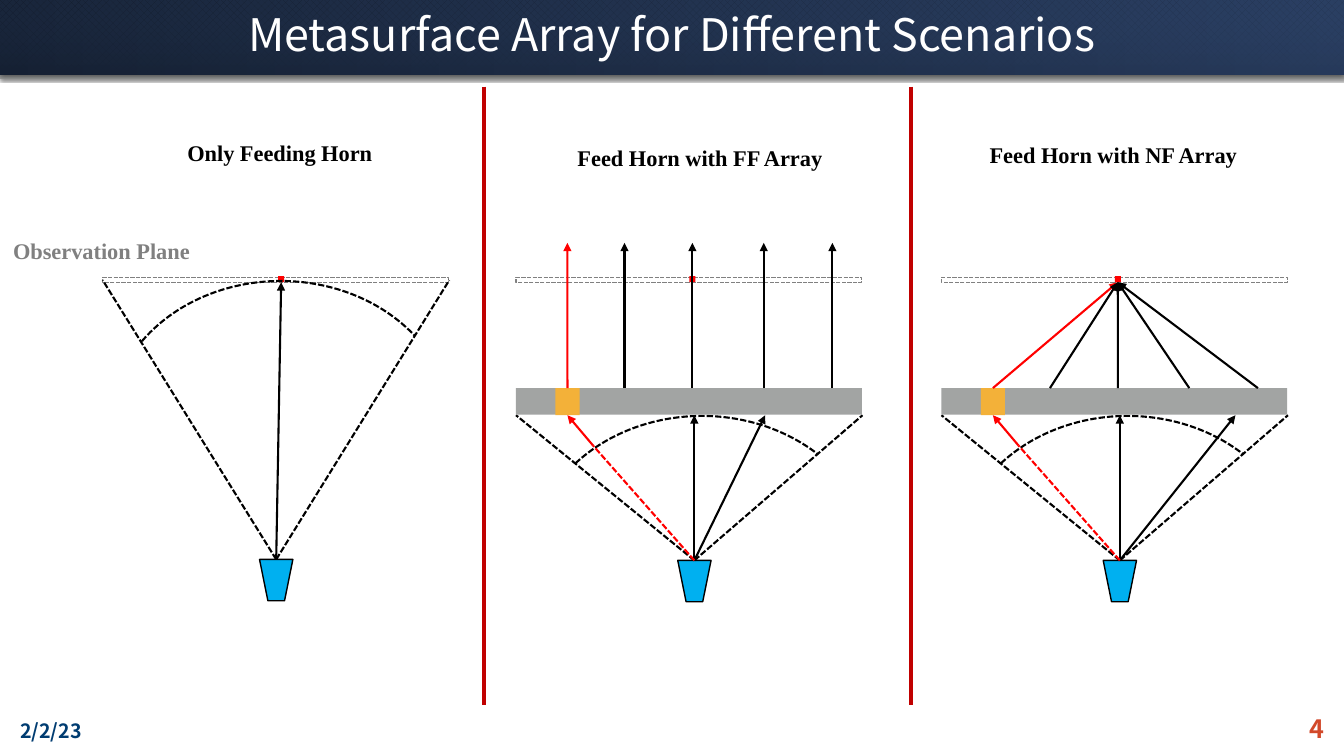
from pptx import Presentation
from pptx.dml.color import RGBColor
from pptx.enum.dml import MSO_LINE, MSO_PATTERN
from pptx.enum.shapes import MSO_CONNECTOR, MSO_SHAPE
from pptx.enum.text import MSO_ANCHOR, MSO_AUTO_SIZE, PP_ALIGN
from pptx.oxml.ns import qn
from pptx.util import Pt
from lxml import etree

RECT, ARC, HORN = MSO_SHAPE.RECTANGLE, MSO_SHAPE.ARC, MSO_SHAPE.TRAPEZOID
STRAIGHT, DASH = MSO_CONNECTOR.STRAIGHT, MSO_LINE.SQUARE_DOT
LEFT, CENTER, RIGHT = PP_ALIGN.LEFT, PP_ALIGN.CENTER, PP_ALIGN.RIGHT
MIDDLE, TOP, GROW = MSO_ANCHOR.MIDDLE, MSO_ANCHOR.TOP, MSO_AUTO_SIZE.SHAPE_TO_FIT_TEXT
SANS, SERIF = "Noto Sans CJK JP", "Times New Roman"

COLORS = {
    "black": "000000", "white": "FFFFFF", "gray": "808080", "array": "A2A4A3",
    "red": "FF0000", "wall": "C00000", "horn": "00B0F0", "patch": "F3B139",
    "date": "003C71", "page": "D2492A", "ink": "162032", "navy": "21314D",
    "deep": "1B283F", "blue": "3A5685", "night": "0F1723",
}
RGB = {name: RGBColor.from_string(code) for name, code in COLORS.items()}

deck = Presentation()
deck.slide_width, deck.slide_height = Pt(960), Pt(540)
slide = deck.slides.add_slide(deck.slide_layouts[6])
shapes = slide.shapes


def box(kind, x, y, w, h, fill=None, edge=None, width=1, dash=None):
    shape = shapes.add_shape(kind, Pt(x), Pt(y), Pt(w), Pt(h))
    shape.shadow.inherit = False
    if fill:
        shape.fill.solid()
        shape.fill.fore_color.rgb = RGB[fill]
    else:
        shape.fill.background()
    if edge:
        shape.line.color.rgb = RGB[edge]
        shape.line.width = Pt(width)
        shape.line.dash_style = dash
    else:
        shape.line.fill.background()
    return shape


def link(start, end, color="black", width=1.5, dash=None, arrow=False):
    line = shapes.add_connector(STRAIGHT, *[Pt(v) for v in (*start, *end)])
    line.line.color.rgb = RGB[color]
    line.line.width = Pt(width)
    line.line.dash_style = dash
    if arrow:
        etree.SubElement(line.line._get_or_add_ln(), qn("a:tailEnd"), type="triangle")
    etree.SubElement(line.element.spPr, qn("a:effectLst"))
    return line


# Title band: rule and pattern with shadows, then two washes
rule = link((-0.5, 54.7), (960.5, 54.7), "array", 3)
band = box(RECT, -0.5, -0.5, 960.5, 54)
band.fill.patterned()
band.fill.pattern = MSO_PATTERN.PERCENT_50
band.fill.fore_color.rgb, band.fill.back_color.rgb = RGB["ink"], RGB["navy"]
for item, blur, alpha in ((rule, 2, 60), (band, 4, 52)):
    effect = item.element.spPr.find(qn("a:effectLst"))
    shade = etree.SubElement(effect, qn("a:outerShdw"), blurRad=str(Pt(blur)),
                             dist=str(Pt(1)), dir="5400000", rotWithShape="0")
    tone = etree.SubElement(shade, qn("a:srgbClr"), val=COLORS["black"])
    etree.SubElement(tone, qn("a:alpha"), val=str(alpha * 1000))

for angle, stops in ((90, (("deep", 100), ("navy", 0))),
                     (180, (("blue", 40), ("night", 40)))):
    wash = box(RECT, 0, -0.5, 960, 54)
    wash.fill.gradient()
    wash.fill.gradient_angle = angle
    for stop, (name, alpha) in zip(wash.fill.gradient_stops, stops):
        stop.color.rgb = RGB[name]
    tones = wash.element.spPr.find(qn("a:gradFill")).iter(qn("a:srgbClr"))
    for tone, (name, alpha) in zip(tones, stops):
        etree.SubElement(tone, qn("a:alpha"), val=str(alpha * 1000))

# Panels: left edge, feed tip, cone rim height, arc left, dot left
PANELS = (
    ("horn", 73.4, 197.3, 399.6, 200.2, 77.8, 198.7),
    ("far", 368.6, 496, 400.3, 296.6, 378.7, 492.5),
    ("near", 672.5, 799.9, 400.3, 296.6, 682.6, 796.3),
)
for mode, left, tip, base, rim, bow, spot in PANELS:
    feed = (tip, base)
    horn = box(HORN, tip - 11.9, base, 23.8, 29.5, "horn", "black")
    horn.rotation = 180
    box(RECT, left, 198, 247, 3.6, None, "gray", 1, DASH)
    dot = box(RECT, spot, 197.3, 4.3, 4.3, "red")
    for side in (left, left + 247.5):
        link(feed, (side, rim), dash=DASH)
    arc = box(ARC, bow, rim + 0.5, 245.5, 209.5, None, "black", 1.5, DASH)
    if mode == "horn":
        arc.adjustments[0], arc.adjustments[1] = 127.143, 195.261
        link(feed, (spot + 2, 201.6), arrow=True).end_connect(dot, 2)
        continue
    arc.adjustments[0], arc.adjustments[1] = 130.852, 190.241

    # Array and incoming rays
    box(RECT, left, 277.2, 247, 18.9, "array")
    patch = box(RECT, left + 28.1, 277.2, 17.3, 19.4, "patch")
    for end in (tip, left + (178 if mode == "far" else 210)):
        link(feed, (end, 296.6), arrow=True)
    bend = (left + 55, 318.2)
    link(feed, bend, "red", dash=DASH)
    link(bend, (left + 36.7, 296.6), "red", arrow=True).end_connect(patch, 2)

    # Outgoing rays: parallel for far field, focused for near field
    for step in (36.7, 77.5, 126, 177, 226):
        start = (left + step, 277.2)
        end = (left + step, 173.5) if mode == "far" else (spot + 2, 201.6)
        ray = link(start, end, "red" if step == 36.7 else "black", arrow=True)
        if step == 36.7:
            ray.begin_connect(patch, 0)
        if mode == "near":
            ray.end_connect(dot, 2)

# Panel dividers
for x in (345.6, 650.9):
    link((x, 61.9), (x, 503.3), "wall", 3)

# Text
FRAME = {"margin_left": Pt(14.4), "margin_right": Pt(14.4), "vertical_anchor": MIDDLE}
LABEL = {"auto_size": GROW, "vertical_anchor": TOP}
TEXTS = (
    ("Metasurface Array for Different Scenarios", 0, 0, 960, 53.3, SANS, 32, "white", False, CENTER, FRAME),
    ("2/2/23", 0, 504, 92.9, 36, SANS, 14, "date", True, LEFT, FRAME),
    ("4", 894.2, 501.8, 66, 37.4, SANS, 18, "page", True, RIGHT, FRAME),
    ("Only Feeding Horn", 126.7, 95.8, 164.2, 26.6, SERIF, 16, "black", True, LEFT, LABEL),
    ("Feed Horn with FF Array", 405.4, 99.4, 200.9, 26.6, SERIF, 16, "black", True, LEFT, LABEL),
    ("Feed Horn with NF Array", 699.8, 97.2, 200.9, 26.6, SERIF, 16, "black", True, LEFT, LABEL),
    ("Observation Plane", 2.2, 165.6, 143.3, 26.6, SERIF, 16, "gray", True, LEFT, LABEL),
)
for text, x, y, w, h, face, size, color, bold, align, style in TEXTS:
    frame = shapes.add_textbox(Pt(x), Pt(y), Pt(w), Pt(h)).text_frame
    frame.word_wrap = True
    for key, value in style.items():
        setattr(frame, key, value)
    para = frame.paragraphs[0]
    para.alignment = align
    if size == 32:
        para.line_spacing = 0.9
    run = para.add_run()
    run.text = text
    for key, value in {"name": face, "size": Pt(size), "bold": bold}.items():
        setattr(run.font, key, value)
    run.font.color.rgb = RGB[color]

deck.save("out.pptx")
